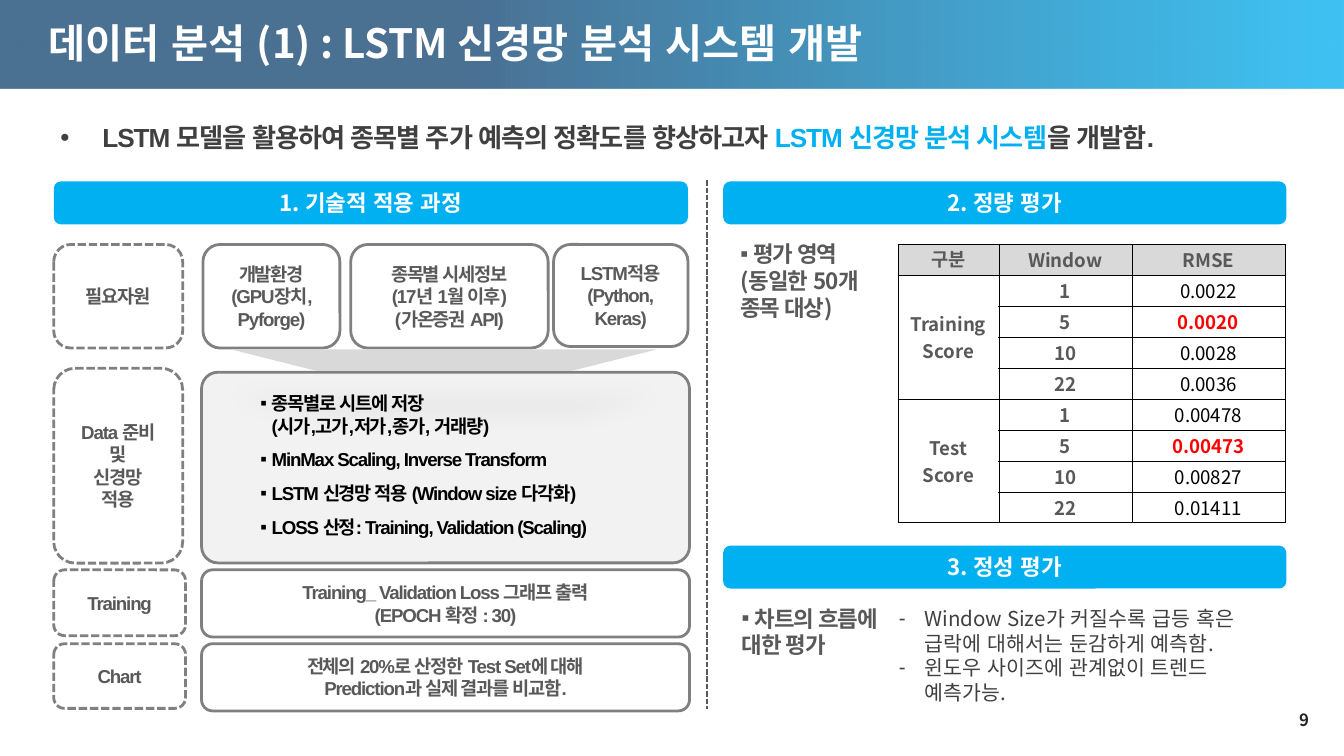
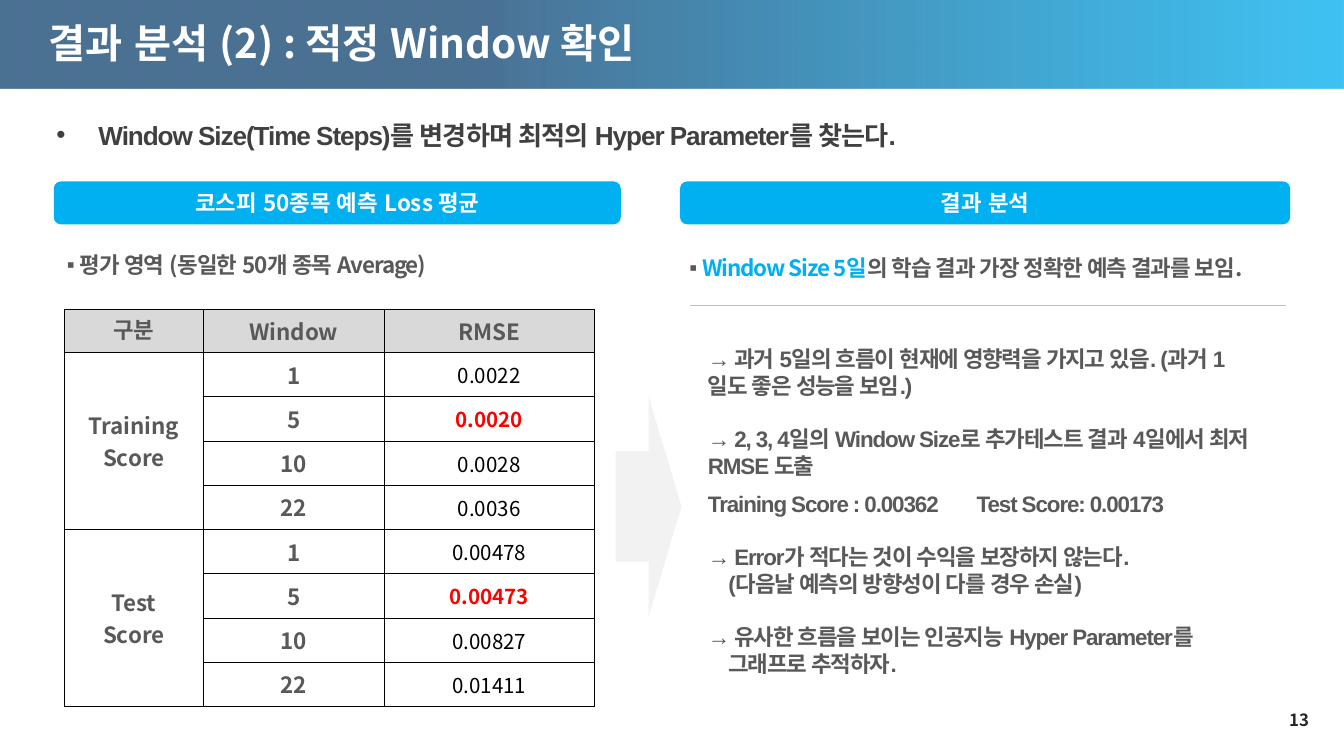
"""Build two slides on an LSTM forecasting system and its best window size."""
from copy import deepcopy

from lxml.etree import SubElement
from pptx import Presentation
from pptx.dml.color import RGBColor
from pptx.enum.dml import MSO_LINE
from pptx.enum.shapes import MSO_CONNECTOR, MSO_SHAPE
from pptx.enum.text import MSO_ANCHOR, MSO_AUTO_SIZE, PP_ALIGN
from pptx.oxml.ns import qn
from pptx.util import Pt

COLORS = {
    "white": "FFFFFF", "black": "000000", "sky": "00B0F0", "navy": "1F4E79",
    "ink": "262626", "text": "404040", "label": "595959", "outline": "808080",
    "rule": "BFBFBF", "shade": "D9D9D9", "panel": "F2F2F2", "best": "FF0000",
}
SANS, CJK = "Arial", "Noto Sans CJK KR"
BOX = {"auto_size": MSO_AUTO_SIZE.NONE, "word_wrap": True,
       "vertical_anchor": MSO_ANCHOR.TOP}
MIDDLE = {**BOX, "vertical_anchor": MSO_ANCHOR.MIDDLE}
FLUSH = {**BOX, "margin_left": 0, "margin_right": 0, "margin_top": 0, "margin_bottom": 0}
LEFT, CENTER = {"alignment": PP_ALIGN.LEFT}, {"alignment": PP_ALIGN.CENTER}
SPACED = {**LEFT, "space_before": Pt(6)}
STYLES = {
    "title": {"frame": {**MIDDLE, "margin_left": Pt(5), "margin_right": Pt(5)},
              "paragraph": {**LEFT, "line_spacing": 0.9},
              "font": {"size": Pt(21.6), "name": CJK, "bold": True}, "color": "white"},
    "number": {"frame": {**MIDDLE, "margin_right": Pt(5)},
               "paragraph": {"alignment": PP_ALIGN.RIGHT},
               "font": {"size": Pt(9), "name": CJK, "bold": True}, "color": "ink"},
    "lead": {"frame": FLUSH, "paragraph": LEFT, "bullet": "•", "hang": 22.5,
             "font": {"size": Pt(14), "name": SANS, "bold": True},
             "color": "text", "tracking": -0.6},
    "header": {"frame": MIDDLE, "paragraph": CENTER,
               "font": {"size": Pt(12), "name": CJK, "bold": True}, "color": "white"},
    "step": {"frame": MIDDLE, "paragraph": CENTER,
             "font": {"size": Pt(10), "name": SANS, "bold": True},
             "color": "label", "tracking": -0.6},
    "tasks": {"frame": BOX, "paragraph": SPACED, "bullet": "▪", "hang": 6,
              "font": {"size": Pt(10), "name": SANS, "bold": True},
              "color": "black", "tracking": -0.6},
    "topic": {"frame": BOX, "paragraph": SPACED, "bullet": "▪",
              "font": {"size": Pt(12), "name": CJK, "bold": True},
              "color": "label", "tracking": -0.6},
    "findings": {"frame": BOX, "paragraph": LEFT, "bullet": "-", "hang": 13.7,
                 "font": {"size": Pt(11), "name": CJK}, "color": "text"},
    "analysis": {"frame": BOX, "paragraph": SPACED,
                 "font": {"size": Pt(12), "name": SANS, "bold": True},
                 "color": "label", "tracking": -0.6},
    "cell": {"frame": {}, "paragraph": CENTER,
             "font": {"name": CJK, "bold": True}, "color": "label"},
}


def write(frame, paragraphs, style, **font_changes):
    style = STYLES[style]
    for key, value in style["frame"].items():
        setattr(frame, key, value)
    for index, content in enumerate(paragraphs):
        paragraph = frame.add_paragraph() if index else frame.paragraphs[0]
        for key, value in style["paragraph"].items():
            setattr(paragraph, key, value)
        if "bullet" in style:
            hang = Pt(style.get("hang", 0))
            props = paragraph._p.get_or_add_pPr()
            props.set("marL", str(hang))
            props.set("indent", str(-hang))
            SubElement(props, qn("a:buFont")).set("typeface", SANS)
            SubElement(props, qn("a:buChar")).set("char", style["bullet"])
        pieces = [(content, style["color"])] if isinstance(content, str) else content
        for text, color in pieces:
            for part, line in enumerate(text.split("\n")):
                if part:
                    paragraph.add_line_break()
                    paragraph._p[-1].append(deepcopy(run._r.rPr))
                run = paragraph.add_run()
                run.text = line
                for key, value in {**style["font"], **font_changes}.items():
                    setattr(run.font, key, value)
                run.font.color.rgb = RGBColor.from_string(COLORS[color])
                run_props = run._r.get_or_add_rPr()
                run_props.set("spc", str(round(style.get("tracking", 0) * 100)))
                SubElement(run_props, qn("a:ea")).set("typeface", SANS)


def draw(slide, preset, box, fill=None, line=None, dash=None):
    shape = slide.shapes.add_shape(preset, *map(Pt, box))
    shape.shadow.inherit = False
    if fill:
        shape.fill.solid()
        shape.fill.fore_color.rgb = RGBColor.from_string(COLORS[fill])
    else:
        shape.fill.background()
    if line:
        shape.line.color.rgb = RGBColor.from_string(COLORS[line])
        shape.line.width = Pt(1.5)
        shape.line.dash_style = dash
    else:
        shape.line.fill.background()
    return shape


prs = Presentation()
prs.slide_width, prs.slide_height = Pt(720), Pt(405)
layout = prs.slide_layouts[1]

pages = [
    ("데이터 분석 (1) : LSTM 신경망 분석 시스템 개발", "9", (32.4, 64.8, 656.6, 15.8), 17,
     [("LSTM 모델을 활용하여 종목별 주가 예측의 정확도를 향상하고자 ", "text"),
      ("LSTM 신경망 분석 시스템", "sky"), ("을 개발함.", "text")]),
    ("결과 분석 (2) : 적정 Window 확인", "13", (30.2, 67.7, 661, 13), 12.8,
     "Window Size(Time Steps)를 변경하며 최적의 Hyper Parameter를 찾는다."),
]
for title, number, lead_box, leading, lead in pages:
    slide = prs.slides.add_slide(layout)
    heading, message = slide.placeholders
    for holder, box in ((heading, (21, 10, 678, 29)), (message, lead_box)):
        holder.left, holder.top, holder.width, holder.height = map(Pt, box)
    write(heading.text_frame, [title], "title")
    write(message.text_frame, [lead], "lead")
    message.text_frame.paragraphs[0].line_spacing = Pt(leading)
    page_number = slide.shapes.add_textbox(Pt(656.6), Pt(375), Pt(49.7), Pt(21.6))
    write(page_number.text_frame, [number], "number")
process, result = prs.slides

band = draw(process, MSO_SHAPE.RECTANGLE, (0, 0, 720, 47.5))
band.fill.gradient()
band.fill.gradient_angle = 180
for stop, (position, color, opacity) in zip(
        band.fill.gradient_stops, ((0, "sky", 75), (0.65, "navy", 80))):
    stop.position = position
    stop.color.rgb = RGBColor.from_string(COLORS[color])
    SubElement(stop._gs[0], qn("a:alpha")).set("val", str(opacity * 1000))
band._element.nvSpPr.cNvPr.set("id", "20")
layout.shapes._spTree.insert(2, band._element)

for slide, start, end, color, width, dash in (
        (process, (378.7, 96.5), (378.7, 380), "label", 1, MSO_LINE.SQUARE_DOT),
        (result, (369.4, 163.4), (689, 163.4), "rule", 0.5, None)):
    divider = slide.shapes.add_connector(MSO_CONNECTOR.STRAIGHT, *map(Pt, start + end))
    divider.line.color.rgb = RGBColor.from_string(COLORS[color])
    divider.line.width = Pt(width)
    divider.line.dash_style = dash
    SubElement(divider._element.spPr, qn("a:effectLst"))

for slide, left, top, width, text in (
        (process, 28.8, 97.2, 339.8, "1. 기술적 적용 과정"),
        (process, 387.4, 97.2, 301.7, "2. 정량 평가"),
        (process, 387.4, 292.3, 301.7, "3. 정성 평가"),
        (result, 28.8, 97.2, 303.8, "코스피 50종목 예측 Loss 평균"),
        (result, 364.3, 97.2, 326.9, "결과 분석")):
    header = draw(slide, MSO_SHAPE.ROUNDED_RECTANGLE, (left, top, width, 23), "sky")
    write(header.text_frame, [text], "header")

stages = [
    ((28.8, 131, 69.1, 55.5), ["필요자원"]),
    ((28.8, 197.3, 69.1, 104.4), ["Data 준비", "및", "신경망", "적용"]),
    ((28.8, 305.3, 70.6, 35.3), ["Training"]),
    ((28.8, 344.9, 70.6, 34.6), ["Chart"]),
]
details = [
    ((108.7, 131, 73.4, 55.5), ["개발환경", "(GPU장치, Pyforge)"]),
    ((187.9, 131, 105.8, 55.5), ["종목별 시세정보", "(17년 1월 이후)", "(가온증권 API)"]),
    ((296.6, 131, 72, 54.7), ["LSTM적용", "(Python,", "Keras)"]),
    ((108, 305.3, 261.4, 36), ["Training_ Validation Loss 그래프 출력", "(EPOCH 확정 : 30)"]),
    ((108, 344.9, 261.4, 36),
     ["전체의 20%로 산정한 Test Set에 대해", "Prediction과 실제 결과를 비교함."]),
]
for steps, dash in ((stages, MSO_LINE.SQUARE_DOT), (details, None)):
    for box, lines in steps:
        step = draw(process, MSO_SHAPE.ROUNDED_RECTANGLE, box, None, "outline", dash)
        write(step.text_frame, lines, "step")

preparation = draw(process, MSO_SHAPE.ROUNDED_RECTANGLE,
                   (108, 199.4, 261.4, 102.2), "panel", "outline")
preparation.adjustments[0] = 0.086
tasks = draw(process, MSO_SHAPE.RECTANGLE, (132.5, 206.6, 218.9, 89.3), "panel")
write(tasks.text_frame, [
    "종목별로 시트에 저장\n(시가,고가,저가,종가, 거래량)",
    "MinMax Scaling, Inverse Transform",
    "LSTM 신경망 적용 (Window size 다각화)",
    "LOSS 산정: Training, Validation (Scaling)"], "tasks")

funnel = draw(process, MSO_SHAPE.FLOWCHART_MANUAL_OPERATION,
              (123.8, 187.2, 228.2, 11.5), "shade")
shadow = SubElement(funnel._element.spPr.find(qn("a:effectLst")), qn("a:outerShdw"),
                    blurRad=str(Pt(12)), dist=str(Pt(25)), dir="5400000")
shadow_color = SubElement(shadow, qn("a:srgbClr"), val=COLORS["black"])
SubElement(shadow_color, qn("a:alpha"), val="4000")

draw(result, MSO_SHAPE.RIGHT_ARROW, (329.8, 212.4, 35.3, 118), "panel")

for slide, box, style, paragraphs in (
        (process, (389.5, 125.3, 89.3, 60.5), "topic",
         [" 평가 영역 (동일한 50개 종목 대상)"]),
        (process, (390.2, 320.4, 90, 40.3), "topic", [" 차트의 흐름에 대한 평가"]),
        (process, (474.5, 321.1, 207.4, 60.5), "findings",
         ["Window Size가 커질수록 급등 혹은 급락에 대해서는 둔감하게 예측함.",
          "윈도우 사이즈에 관계없이 트렌드 예측가능."]),
        (result, (28.8, 131, 250.6, 28), "topic",
         [" 평가 영역 (동일한 50개 종목 Average)"]),
        (result, (362.2, 132.5, 332, 26), "topic",
         [[(" ", "label"), ("Window Size 5일", "sky"),
           ("의 학습 결과 가장 정확한 예측 결과를 보임.", "label")]])):
    note = slide.shapes.add_textbox(*map(Pt, box))
    write(note.text_frame, paragraphs, style)

analysis = result.shapes.add_textbox(Pt(372.2), Pt(181.4), Pt(306.7), Pt(191.5)).text_frame
write(analysis, [
    "→ 과거 5일의 흐름이 현재에 영향력을 가지고 있음. (과거 1일도 좋은 성능을 보임.)",
    "→ 2, 3, 4일의 Window Size로 추가테스트 결과 4일에서 최저 RMSE 도출",
    "Training Score : 0.00362\tTest Score: 0.00173",
    "→ Error가 적다는 것이 수익을 보장하지 않는다.\n(다음날 예측의 방향성이 다를 경우 손실)",
    "→ 유사한 흐름을 보이는 인공지능 Hyper Parameter를\n그래프로 추적하자."], "analysis")
for paragraph, before, hang in zip(analysis.paragraphs, (6, 14, 6, 14, 14), (0, 0, 0, 11, 11)):
    paragraph.space_before = Pt(before)
    paragraph._p.pPr.set("marL", str(Pt(hang)))
    paragraph._p.pPr.set("indent", str(-Pt(hang)))
tab_stops = SubElement(analysis.paragraphs[2]._p.pPr, qn("a:tabLst"))
SubElement(tab_stops, qn("a:tab"), pos=str(Pt(130)), algn="l")

windows = ["1", "5", "10", "22"]
scores = {"Training": ["0.0022", "0.0020", "0.0028", "0.0036"],
          "Test": ["0.00478", "0.00473", "0.00827", "0.01411"]}
rows = [(["구분"], "Window", "RMSE")]
for name, values in scores.items():
    for window, value in zip(windows, values):
        rows.append(([name, "Score"] if window == "1" else None, window, value))

for slide, left, top, widths, heights, padding, label_size, value_size in (
        (process, 481, 131, (54, 71.3, 82.1), (16.56, 16.56), (5.8, 0), 10, 10),
        (result, 34.6, 165.6, (74.2, 97.2, 112.3), (21, 23.7), (2.9, 2.9), 12, 11)):
    table = slide.shapes.add_table(
        len(rows), 3, Pt(left), Pt(top), Pt(sum(widths)),
        Pt(heights[0] + heights[1] * 8)).table
    table.first_row = table.horz_banding = False
    for column, width in zip(table.columns, widths):
        column.width = Pt(width)
    for r, row in enumerate(rows):
        table.rows[r].height = Pt(heights[min(r, 1)])
        for c, text in enumerate(row):
            cell = table.cell(r, c)
            for key, value in {"margin_left": Pt(padding[0]), "margin_right": Pt(padding[0]),
                               "margin_top": Pt(padding[1]), "margin_bottom": Pt(padding[1]),
                               "vertical_anchor": MSO_ANCHOR.MIDDLE}.items():
                setattr(cell, key, value)
            for side in ("lnL", "lnR", "lnT", "lnB"):
                border = SubElement(cell._tc.tcPr, qn(f"a:{side}"), w=str(Pt(0.25)))
                paint = SubElement(border, qn("a:solidFill"))
                SubElement(paint, qn("a:srgbClr"), val=COLORS["black"])
            if r == 0:
                cell.fill.solid()
                cell.fill.fore_color.rgb = RGBColor.from_string(COLORS["shade"])
            else:
                cell.fill.background()
            if c == 0 and text:
                write(cell.text_frame, text, "cell", size=Pt(label_size))
            elif c == 1 or r == 0:
                write(cell.text_frame, [text], "cell", size=Pt(label_size))
            elif c == 2:
                best = row[1] == "5"
                write(cell.text_frame, [[(text, "best" if best else "black")]], "cell",
                      size=Pt(value_size), bold=best)
    for first in (1, 5):
        table.cell(first, 0).merge(table.cell(first + 3, 0))

prs.save("out.pptx")
